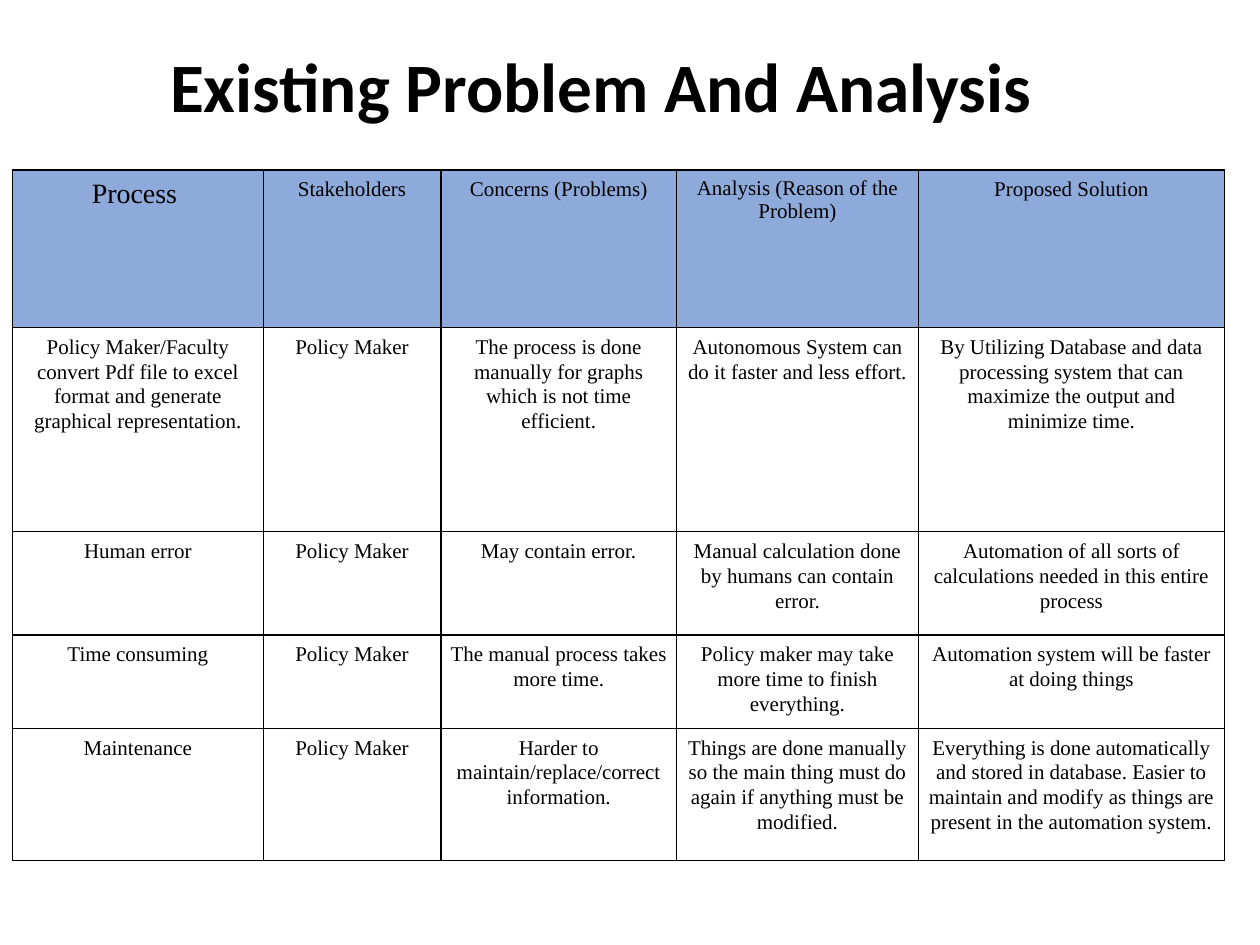
import dataclasses
import pptx
import pptx.dml.color
import pptx.enum.text
import pptx.oxml
import pptx.oxml.ns
import pptx.util

Inches = pptx.util.Inches
Pt = pptx.util.Pt
Color = pptx.dml.color.RGBColor.from_string
Align = pptx.enum.text.PP_ALIGN
Anchor = pptx.enum.text.MSO_ANCHOR


@dataclasses.dataclass
class Theme:
    ink: str = "000000"
    head: str = "8EAADB"
    paper: str = "FFFFFF"
    title_font: str = "Calibri"
    body_font: str = "Times New Roman"
    title: float = 39.6
    lead: float = 16
    body: float = 12
    rule: float = 1
    space: float = 1.07


def apply(item, values):
    for name, value in values.items():
        setattr(item, name, value)


class Deck:
    """Hold the theme and the current slide, and draw each kind of element."""

    def __init__(self, theme):
        self.theme = theme
        self.show = pptx.Presentation()
        apply(self.show, {"slide_width": Inches(10), "slide_height": Inches(7.5)})
        self.slide = self.show.slides.add_slide(self.show.slide_layouts[6])

    def label(self, frame, text, font, size, bold=False, space=None):
        frame.text = text
        for para in frame.paragraphs:
            apply(para, {"alignment": Align.CENTER, "line_spacing": space})
            for run in para.runs:
                apply(run.font, {"name": font, "size": Pt(size), "bold": bold})
                run.font.color.rgb = Color(self.theme.ink)

    def title(self, text, left, top, width, height):
        box = self.slide.shapes.add_textbox(
            Inches(left), Inches(top), Inches(width), Inches(height))
        apply(box.text_frame, {
            "word_wrap": True, "vertical_anchor": Anchor.MIDDLE,
            "margin_top": 0, "margin_bottom": Inches(0.6)})
        self.label(box.text_frame, text, self.theme.title_font, self.theme.title, True)

    def border(self, cell):
        props = cell._tc.get_or_add_tcPr()
        for index, side in enumerate(("lnL", "lnR", "lnT", "lnB")):
            line = pptx.oxml.parse_xml(
                f'<a:{side} {pptx.oxml.ns.nsdecls("a")} w="{Pt(self.theme.rule)}">'
                f'<a:solidFill><a:srgbClr val="{self.theme.ink}"/></a:solidFill>'
                f'</a:{side}>')
            props.insert(index, line)

    def cell(self, cell, text, fill, size):
        apply(cell, {
            "margin_left": Inches(0.06), "margin_right": Inches(0.06),
            "margin_top": Inches(0.05), "margin_bottom": Inches(0.05)})
        space = None if "\n" in text else self.theme.space
        self.label(cell.text_frame, text, self.theme.body_font, size, space=space)
        if fill:
            cell.fill.solid()
            cell.fill.fore_color.rgb = Color(fill)
        else:
            cell.fill.background()
        self.border(cell)

    def table(self, rows, left, top, widths, heights):
        grid = self.slide.shapes.add_table(
            len(rows), len(widths), Inches(left), Inches(top),
            Inches(sum(widths)), Inches(sum(heights))).table
        apply(grid, {"first_row": False, "horz_banding": False})
        for col, width in zip(grid.columns, widths):
            col.width = Inches(width)
        for row, height in zip(grid.rows, heights):
            row.height = Inches(height)
        for r, row in enumerate(rows):
            for c, text in enumerate(row):
                fill = self.theme.head if r == 0 else self.theme.paper if c == 0 else None
                size = self.theme.lead if r == c == 0 else self.theme.body
                self.cell(grid.cell(r, c), text, fill, size)


HEADS = ("Process ", "Stakeholders", "Concerns (Problems)",
         "Analysis (Reason of the\nProblem)", "Proposed Solution")
HOLDER = "Policy Maker"
ISSUES = (
    ("Policy Maker/Faculty convert Pdf file to excel format and generate "
     "graphical representation.",
     "The process is done manually for graphs which is not time efficient.",
     "Autonomous System can do it faster and less effort.",
     "By Utilizing Database and data processing system that can maximize "
     "the output and minimize time."),
    ("Human error",
     "May contain error.",
     "Manual calculation done by humans can contain error.",
     "Automation of all sorts of calculations needed in this entire process"),
    ("Time consuming",
     "The manual process takes more time.",
     "Policy maker may take more time to finish everything.",
     "Automation system will be faster at doing things"),
    ("Maintenance",
     "Harder to maintain/replace/correct information.",
     "Things are done manually so the main thing must do again if anything "
     "must be modified.",
     "Everything is done automatically and stored in database. Easier to "
     "maintain and modify as things are present in the automation system."),
)


def main():
    deck = Deck(Theme())
    deck.title("Existing Problem And Analysis", 0.23, 0.4, 9.08, 1.15)
    rows = [HEADS] + [(issue[0], HOLDER, *issue[1:]) for issue in ISSUES]
    deck.table(rows, 0.1, 1.35, (1.99, 1.41, 1.87, 1.92, 2.43),
               (1.25, 1.62, 0.82, 0.74, 1.05))
    deck.show.save("out.pptx")


if __name__ == "__main__":
    main()
